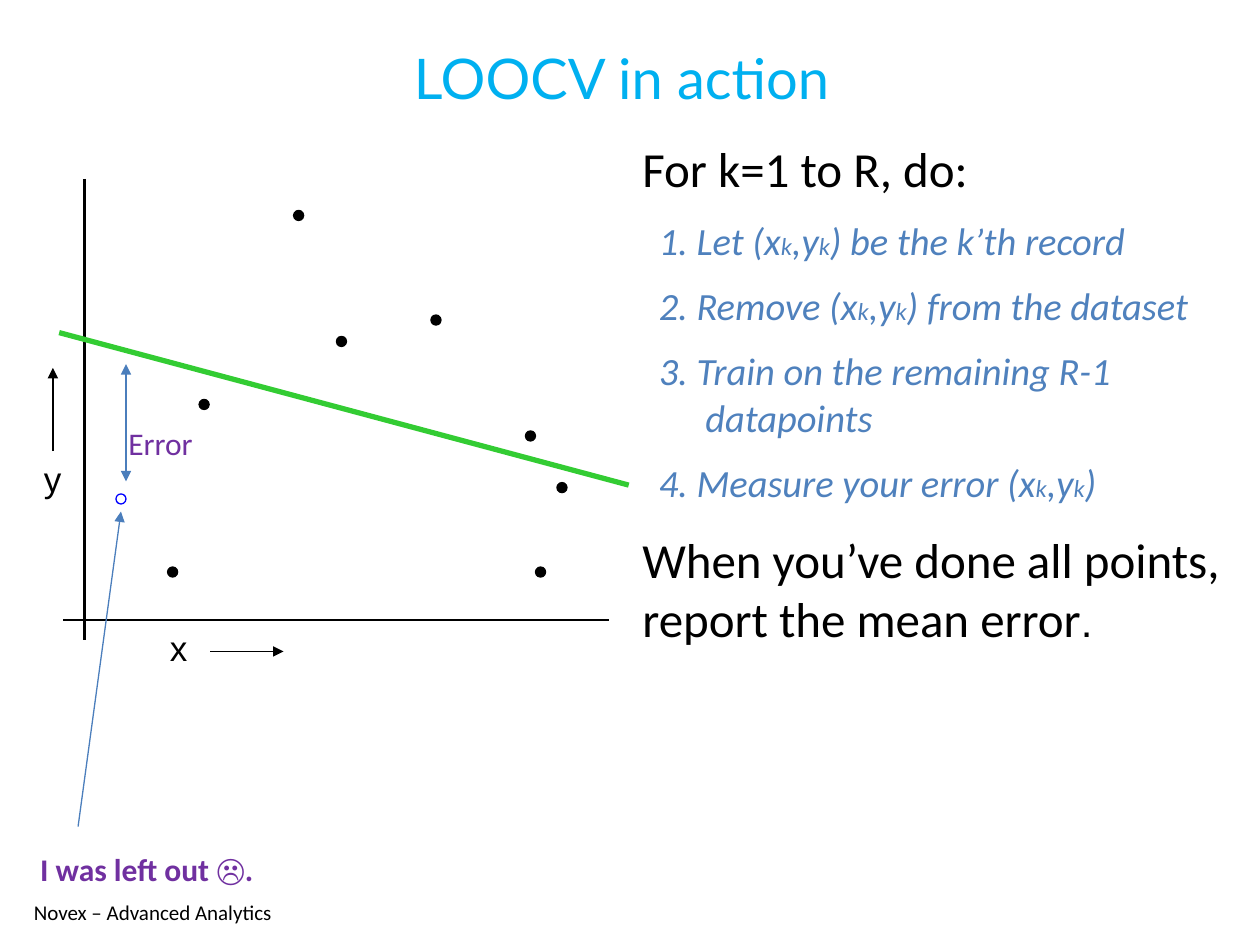
"""Build the LOOCV in action slide."""
from lxml.etree import SubElement
from pptx import Presentation
from pptx.dml.color import RGBColor as Rgb
from pptx.enum.shapes import MSO_CONNECTOR as Link, MSO_SHAPE as Shape
from pptx.enum.text import MSO_ANCHOR as Anchor, PP_ALIGN as Align
from pptx.oxml.ns import qn
from pptx.util import Inches, Pt

COLORS = {
    "title": "00B0F0", "ink": "000000", "step": "4F81BD", "arrow": "4B7EBC",
    "fit": "33CC33", "note": "7030A0", "ring": "0000FF", "paper": "FFFFFF",
}
DOTS = [(1.33, 4.5), (1.58, 3.17), (2.33, 1.67), (2.67, 2.67),
        (3.42, 2.5), (4.25, 4.5), (4.42, 3.83), (4.17, 3.42)]
STEPS = [
    "1. Let (x|k|,y|k|) be the k’th record",
    "2. Remove (x|k|,y|k|) from the dataset",
    "3. Train on the remaining R-1 datapoints",
    "4. Measure your error (x|k|,y|k|)",
]


def rgb(name):
    return Rgb.from_string(COLORS[name])


def add_run(para, text, size, font="Calibri", color="ink", bold=False, italic=False):
    run = para.add_run()
    run.text = text
    face = run.font
    face.name, face.size = font, Pt(size)
    face.bold, face.italic = bold, italic
    face.color.rgb = rgb(color)


def add_box(shapes, box, wrap=True):
    frame = shapes.add_textbox(*map(Inches, box)).text_frame
    frame.word_wrap = wrap
    return frame


def add_text(shapes, text, box, wrap=True, align=Align.LEFT, anchor=Anchor.TOP, **style):
    frame = add_box(shapes, box, wrap)
    frame.vertical_anchor = anchor
    para = frame.paragraphs[0]
    para.alignment = align
    add_run(para, text, **style)


def add_line(shapes, start, end, color="ink", width=0.75, head=False, tail=False):
    line = shapes.add_connector(Link.STRAIGHT, *map(Inches, start + end))
    line.line.color.rgb = rgb(color)
    line.line.width = Pt(width)
    props = line.line._get_or_add_ln()
    for tag, shown in (("a:headEnd", head), ("a:tailEnd", tail)):
        if shown:
            SubElement(props, qn(tag), type="triangle")
    SubElement(line._element.spPr, qn("a:effectLst"))


def add_dot(shapes, spot, fill="ink", edge="ink"):
    size = Inches(0.08)
    dot = shapes.add_shape(Shape.OVAL, *map(Inches, spot), size, size)
    dot.shadow.inherit = False
    dot.fill.solid()
    dot.fill.fore_color.rgb = rgb(fill)
    dot.line.color.rgb = rgb(edge)
    dot.line.width = Pt(0.75)


def add_plot(shapes):
    add_line(shapes, (0.67, 1.42), (0.67, 5.08), width=1.5)
    add_line(shapes, (0.5, 4.92), (4.83, 4.92), width=1.5)
    add_dot(shapes, (0.92, 3.92), fill="paper", edge="ring")
    for spot in DOTS:
        add_dot(shapes, spot)
    add_text(shapes, "x", (1.25, 4.92, 0.33, 0.43), size=20, font="Arial")
    add_line(shapes, (1.67, 5.17), (2.25, 5.17), tail=True)
    add_text(shapes, "y", (0.25, 3.58, 0.33, 0.43), size=20, font="Arial")
    add_line(shapes, (0.42, 3.58), (0.42, 2.92), tail=True)
    add_line(shapes, (0.47, 2.64), (4.99, 3.85), color="fit", width=3)


def add_steps(shapes):
    frame = add_box(shapes, (5, 1.05, 4.81, 4.34))
    add_run(frame.paragraphs[0], "For k=1 to R, do:", 28)
    for step in STEPS:
        para = frame.add_paragraph()
        para.level = 1
        para.space_before = Pt(11)
        props = para._p.get_or_add_pPr()
        props.set("marL", str(Inches(0.5)))
        props.set("indent", str(Inches(-0.37)))
        for i, part in enumerate(step.split("|")):
            add_run(para, part, 14 if i % 2 else 22, color="step", italic=True)
    last = frame.add_paragraph()
    last.space_before = Pt(14)
    add_run(last, "When you’ve done all points, report the mean error", 28)
    add_run(last, ".", 24, font="Arial")


def main():
    deck = Presentation()
    deck.slide_width, deck.slide_height = Inches(10), Inches(7.5)
    shapes = deck.slides.add_slide(deck.slide_layouts[6]).shapes
    add_text(shapes, "LOOCV in action", (0.27, 0.2, 9.33, 0.83), align=Align.CENTER,
             anchor=Anchor.MIDDLE, size=32, font="Lato", color="title")
    add_steps(shapes)
    add_plot(shapes.add_group_shape().shapes)
    add_line(shapes, (1, 2.89), (1, 3.82), color="arrow", head=True, tail=True)
    add_text(shapes, "Error", (0.92, 3.32, 0.72, 0.4), wrap=False, size=18, color="note")
    add_line(shapes, (0.62, 6.56), (0.96, 4.06), color="arrow", tail=True)
    add_text(shapes, "I was left out ☹.", (0.22, 6.7, 2.02, 0.4), wrap=False,
             size=18, color="note", bold=True)
    add_text(shapes, "Novex – Advanced Analytics", (0.17, 7.09, 2.4, 0.3), size=12)
    deck.save("out.pptx")


if __name__ == "__main__":
    main()
